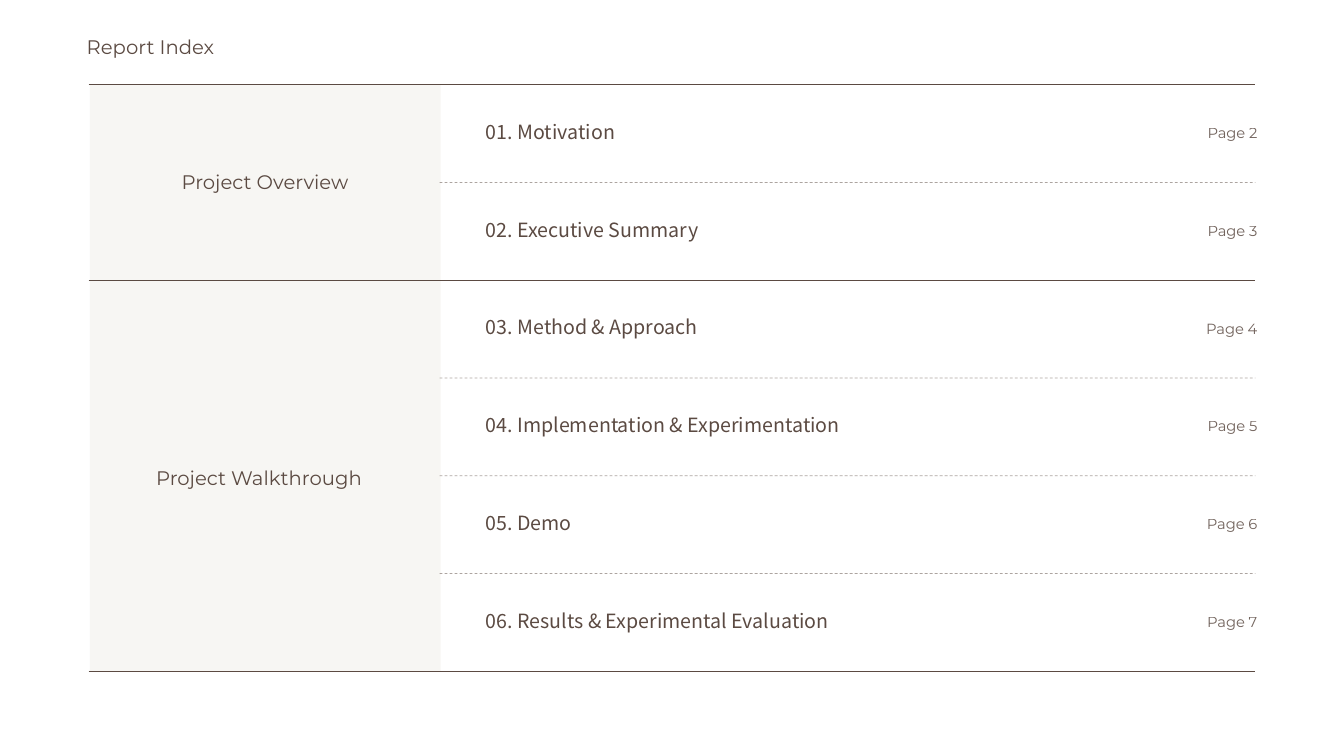
from lxml.etree import SubElement as Sub
from pptx import Presentation as Deck
from pptx.dml.color import RGBColor as Rgb
from pptx.enum.dml import MSO_LINE as Dash
from pptx.enum.shapes import MSO_CONNECTOR as Link, MSO_SHAPE as Shape
from pptx.enum.text import MSO_ANCHOR as Anchor, MSO_AUTO_SIZE as Fit, PP_ALIGN as Align
from pptx.oxml.ns import qn
from pptx.util import Inches, Pt

HUES = {"ink": "5B4A42", "sand": "ECE9E2"}
SANS, NOTO = "Montserrat", "Noto Sans CJK KR"
TOP, STEP, LEFT, SPLIT, RIGHT = 0.84, 0.97, 0.88, 4.36, 12.45
GROUPS = [("Project Overview", 1.66, 1.64, 1.94), ("Project Walkthrough", 1.4, 4.57, 2.34)]
ITEMS = [
    ("Motivation", 1.82),
    ("Executive Summary", 2.63),
    ("Method & Approach", 2.63),
    ("Implementation & Experimentation", 4.37),
    ("Demo", 1.13),
    ("Results & Experimental Evaluation", 4.48),
]
RULES = {0: 0.75, 2: 1, 6: 1}


def paint(fill, hue, alpha=100):
    fill.solid()
    fill.fore_color.rgb = Rgb.from_string(HUES[hue])
    if alpha < 100:
        tone = fill._xPr.find(qn("a:solidFill"))[0]
        Sub(tone, qn("a:alpha"), val=str(alpha * 1000))


def write(box, text, size=14, face=SANS, align=Align.LEFT, alpha=100):
    frame = box.text_frame
    frame.text = text
    frame.word_wrap = False
    frame.auto_size = Fit.SHAPE_TO_FIT_TEXT
    frame.vertical_anchor = Anchor.TOP
    para = frame.paragraphs[0]
    para.alignment = align
    font = para.runs[0].font
    font.size, font.name = Pt(size), face
    paint(font.fill, "ink", alpha)


class Page:
    def __init__(self, deck):
        self.slide = deck.slides.add_slide(deck.slide_layouts[5])
        self.items = self.slide.shapes

    def title(self, text, x, y, w, h):
        box = self.items.title
        box.left, box.top, box.width, box.height = map(Inches, (x, y, w, h))
        write(box, text)

    def text(self, text, x, y, w, h=0.34, **style):
        write(self.items.add_textbox(*map(Inches, (x, y, w, h))), text, **style)

    def panel(self, x, y, w, h, hue, alpha):
        box = self.items.add_shape(Shape.RECTANGLE, *map(Inches, (x, y, w, h)))
        box.shadow.inherit = False
        box.line.fill.background()
        paint(box.fill, hue, alpha)

    def rule(self, x, y, end, width, alpha=100, dash=None):
        line = self.items.add_connector(Link.STRAIGHT, *map(Inches, (x, y, end, y)))
        line.line.width = Pt(width)
        paint(line.line.fill, "ink", alpha)
        if dash:
            line.line.dash_style = dash
        Sub(line._element.spPr, qn("a:effectLst"))


def main():
    deck = Deck()
    deck.slide_width, deck.slide_height = Inches(13.33), Inches(7.5)
    page = Page(deck)
    page.title("Report Index", 0.76, 0.3, 1.52, 0.34)
    page.panel(0.89, TOP, 3.48, STEP * len(ITEMS), "sand", 40)
    for name, x, y, w in GROUPS:
        page.text(name, x, y, w, align=Align.CENTER)
    for row, (name, w) in enumerate(ITEMS):
        y = TOP + row * STEP
        page.text(f"{row + 1:02}. {name}", 4.72, y + 0.3, w, face=NOTO)
        page.text(f"Page {row + 2}", 11.86, y + 0.34, 0.71, 0.28,
                  size=10.5, align=Align.RIGHT, alpha=85)
    for row in range(len(ITEMS) + 1):
        y = TOP + row * STEP
        if row in RULES:
            page.rule(LEFT, y, RIGHT, RULES[row])
        else:
            page.rule(SPLIT, y, RIGHT, 0.5, 50, Dash.DASH)
    deck.save("out.pptx")


if __name__ == "__main__":
    main()
